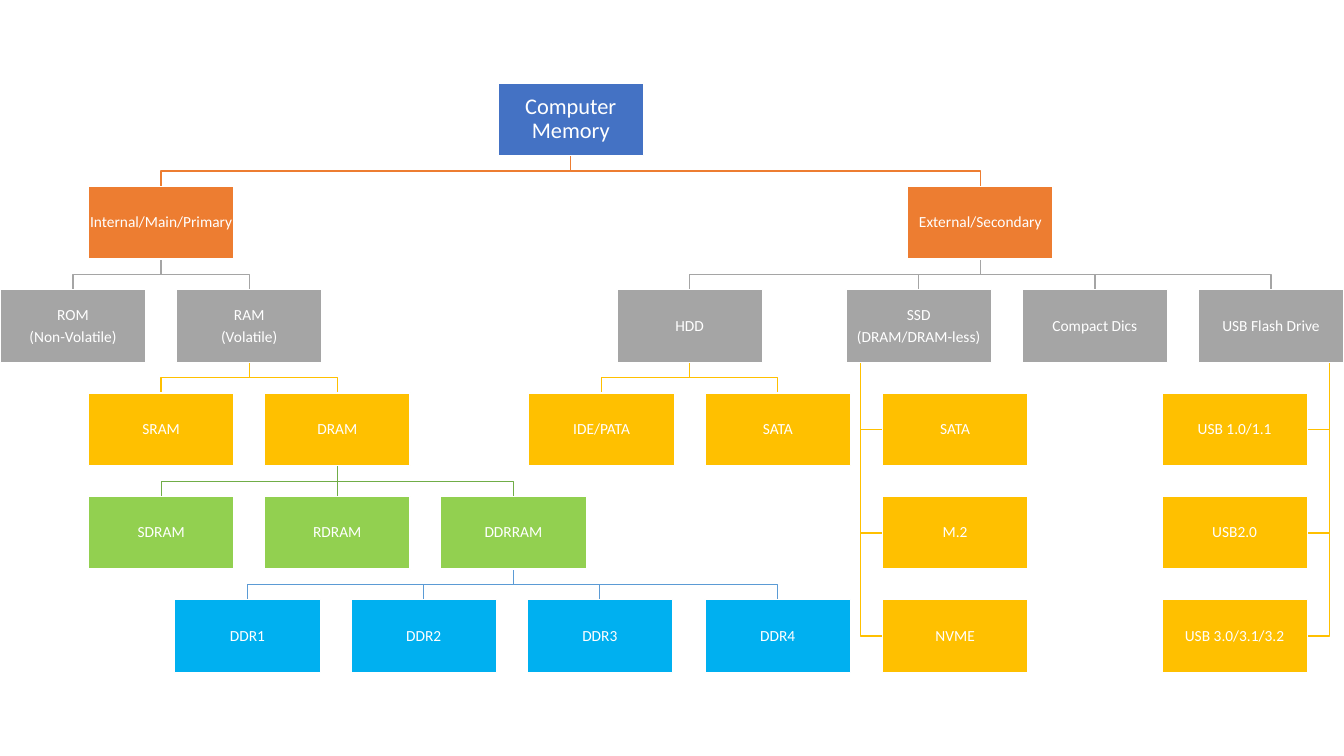
from dataclasses import dataclass, field

from lxml import etree
from pptx import Presentation
from pptx import util as u
from pptx.dml.color import RGBColor
from pptx.enum import shapes, text
from pptx.oxml.ns import qn

COLORS = {
    "white": "FFFFFF", "blue": "4472C4", "orange": "ED7D31", "gray": "A5A5A5",
    "gold": "FFC000", "lime": "92D050", "sky": "00B0F0",
    "green": "70AD47", "light blue": "5B9BD5",
}
BOX_FILLS = ["blue", "orange", "gray", "gold", "lime", "sky"]
# Colour and width of the lines that leave each level
LINKS = [("orange", 1), ("gray", 1), ("gold", 1), ("green", 0.5), ("light blue", 0.5)]

BOX_WIDTH, BOX_HEIGHT = 104, 52
COLUMN_STEP = 1.21 * BOX_WIDTH
ROW_STEP = 1.42 * BOX_HEIGHT
FIRST_CENTER, FIRST_TOP = 52.2, 59.2


@dataclass
class Node:
    """A box; hanging items are stacked below it, on its right (1) or left (-1)."""
    label: str
    column: float
    children: list = field(default_factory=list)
    hanging: list = field(default_factory=list)
    side: int = 1


MEMORY = Node("Computer Memory", 2.825, [
    Node("Internal/Main/Primary", 0.5, [
        Node("ROM\n(Non-Volatile)", 0),
        Node("RAM\n(Volatile)", 1, [
            Node("SRAM", 0.5),
            Node("DRAM", 1.5, [
                Node("SDRAM", 0.5),
                Node("RDRAM", 1.5),
                Node("DDRRAM", 2.5, [
                    Node("DDR1", 0.99), Node("DDR2", 1.99),
                    Node("DDR3", 2.99), Node("DDR4", 4),
                ]),
            ]),
        ]),
    ]),
    Node("External/Secondary", 5.15, [
        Node("HDD", 3.5, [Node("IDE/PATA", 3), Node("SATA", 4)]),
        Node("SSD\n(DRAM/DRAM-less)", 4.8, hanging=["SATA", "M.2", "NVME"]),
        Node("Compact Dics", 5.8),
        Node("USB Flash Drive", 6.8, side=-1,
             hanging=["USB 1.0/1.1", "USB2.0", "USB 3.0/3.1/3.2"]),
    ]),
])


class TreeChart:
    def __init__(self, slide, font="Calibri"):
        self.slide = slide
        self.font = font

    def color(self, name):
        return RGBColor.from_string(COLORS[name])

    def box(self, label, center, row, fill, size=11):
        shape = self.slide.shapes.add_shape(
            shapes.MSO_SHAPE.RECTANGLE, u.Pt(center - BOX_WIDTH / 2),
            u.Pt(FIRST_TOP + row * ROW_STEP), u.Pt(BOX_WIDTH), u.Pt(BOX_HEIGHT))
        shape.shadow.inherit = False
        shape.fill.solid()
        shape.fill.fore_color.rgb = self.color(fill)
        shape.line.color.rgb = self.color("white")
        shape.line.width = u.Pt(1)
        frame = shape.text_frame
        frame.word_wrap = True
        frame.vertical_anchor = text.MSO_ANCHOR.MIDDLE
        frame.margin_left = frame.margin_right = u.Pt(0.7)
        frame.margin_top = frame.margin_bottom = u.Pt(0.7)
        for index, line in enumerate(label.split("\n")):
            paragraph = frame.add_paragraph() if index else frame.paragraphs[0]
            paragraph.alignment = text.PP_ALIGN.CENTER
            paragraph.line_spacing = 0.9
            paragraph.space_after = u.Pt(0.35 * size)
            run = paragraph.add_run()
            run.text = line
            run.font.name = self.font
            run.font.size = u.Pt(size)
            run.font.color.rgb = self.color("white")
        return shape

    def finish_link(self, link, level):
        """Style a line and send it behind the boxes."""
        name, width = LINKS[level]
        link.line.color.rgb = self.color(name)
        link.line.width = u.Pt(width)
        link.element.getparent().insert(2, link.element)

    def elbow(self, points, level):
        start, *rest = [(u.Pt(x), u.Pt(y)) for x, y in points]
        builder = self.slide.shapes.build_freeform(*start)
        builder.add_line_segments(rest, close=False)
        link = builder.convert_to_shape()
        link.fill.background()
        link.shadow.inherit = False
        self.finish_link(link, level)

    def straight(self, upper, lower, level):
        link = self.slide.shapes.add_connector(shapes.MSO_CONNECTOR.STRAIGHT, 0, 0, 0, 0)
        link.begin_connect(upper, 2)
        link.end_connect(lower, 0)
        etree.SubElement(link.element.spPr, qn("a:effectLst"))
        self.finish_link(link, level)

    def hang(self, node, center, row):
        """Stack the hanging items and tie each to a spine under the parent."""
        spine = center - node.side * 0.4 * BOX_WIDTH
        item_center = center + node.side * 0.25 * BOX_WIDTH
        bottom = FIRST_TOP + row * ROW_STEP + BOX_HEIGHT
        for item_row, label in enumerate(node.hanging, row + 1):
            self.box(label, item_center, item_row, BOX_FILLS[row + 1])
            middle = FIRST_TOP + item_row * ROW_STEP + BOX_HEIGHT / 2
            edge = item_center - node.side * BOX_WIDTH / 2
            self.elbow([(spine, bottom), (spine, middle), (edge, middle)], row)

    def branch(self, node, row=0):
        """Draw a node with everything below it and return its box."""
        center = FIRST_CENTER + node.column * COLUMN_STEP
        box = self.box(node.label, center, row, BOX_FILLS[row], 11 if row else 16)
        bottom = FIRST_TOP + row * ROW_STEP + BOX_HEIGHT
        child_top = FIRST_TOP + (row + 1) * ROW_STEP
        bend = (bottom + child_top) / 2
        for child in node.children:
            child_box = self.branch(child, row + 1)
            if child.column == node.column:
                self.straight(box, child_box, row)
                continue
            child_center = FIRST_CENTER + child.column * COLUMN_STEP
            self.elbow([(center, bottom), (center, bend),
                        (child_center, bend), (child_center, child_top)], row)
        self.hang(node, center, row)
        return box


def main():
    presentation = Presentation()
    presentation.slide_width = u.Pt(960)
    presentation.slide_height = u.Pt(540)
    slide = presentation.slides.add_slide(presentation.slide_layouts[6])
    TreeChart(slide).branch(MEMORY)
    presentation.save("out.pptx")


if __name__ == "__main__":
    main()
